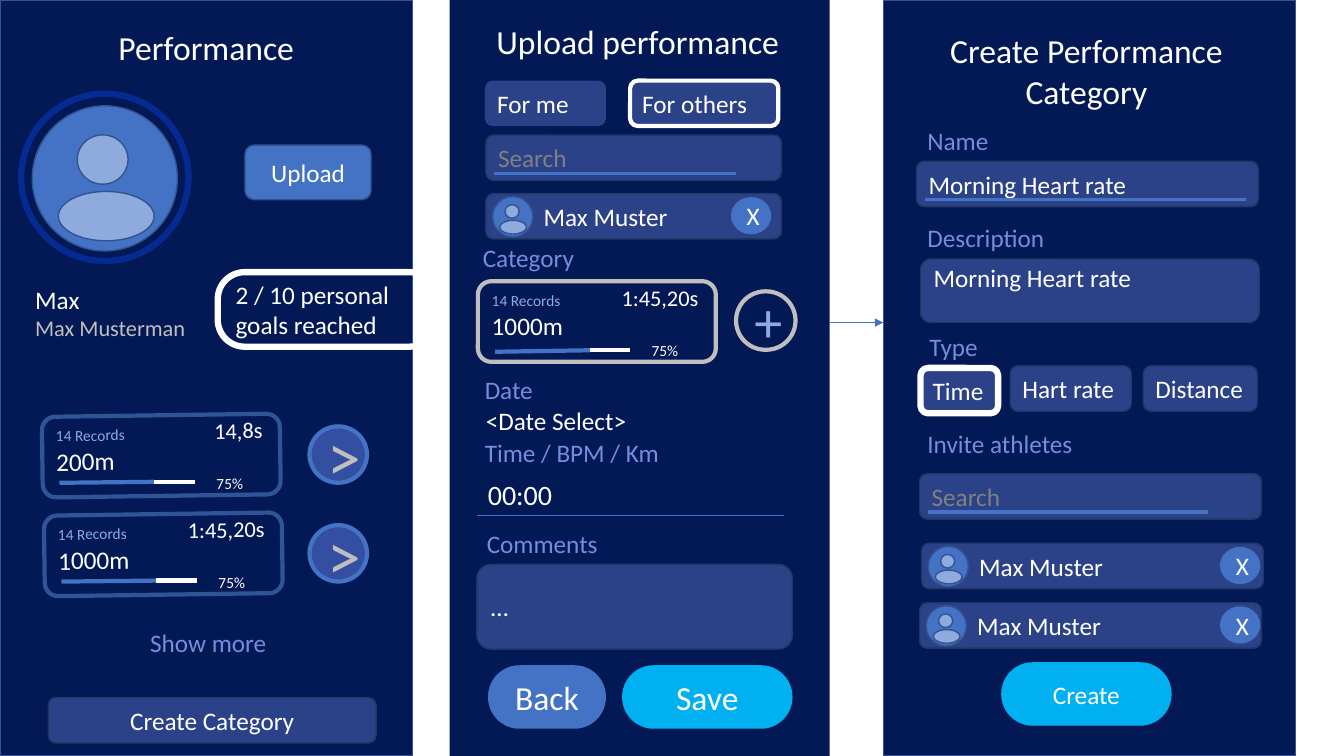
import pptx
import pptx.util
import pptx.dml.color
import pptx.enum.shapes
import pptx.enum.text
import pptx.oxml.ns
import lxml.etree
from dataclasses import dataclass

SHAPE = pptx.enum.shapes.MSO_SHAPE
ALIGN = pptx.enum.text.PP_ALIGN
ANCHOR = pptx.enum.text.MSO_ANCHOR
qn = pptx.oxml.ns.qn


@dataclass(frozen=True)
class Theme:
    font: str = "Calibri"
    night: str = "031956"
    field: str = "2C4288"
    field_edge: str = "203864"
    blue: str = "4472C4"
    blue_edge: str = "325491"
    ring: str = "052A91"
    card_edge: str = "2F5597"
    arrow_fill: str = "344FA1"
    pale: str = "8FAADC"
    label: str = "728EDC"
    cyan: str = "00B0F0"
    white: str = "FFFFFF"
    silver: str = "BFBFBF"
    hint: str = "808080"
    heading: int = 24
    time: int = 20
    body: int = 18
    small: int = 16
    tiny: int = 11
    plus: int = 40
    chevron: int = 48


T = Theme()


def cells(count):
    """Length of a number of grid cells, ten to the inch in both directions."""
    return pptx.util.Inches(count / 10)


def rgb(value):
    return pptx.dml.color.RGBColor.from_string(value)


def style(font, size, color):
    font.name, font.size = T.font, pptx.util.Pt(size)
    font.color.rgb = rgb(color)


# Basic elements
def panel(slide, kind, box, fill=None, edge=None, weight=1, radius=None):
    shape = slide.shapes.add_shape(kind, *map(cells, box))
    shape.shadow.inherit = False
    if radius is not None:
        shape.adjustments[0] = radius
    if fill:
        shape.fill.solid()
        shape.fill.fore_color.rgb = rgb(fill)
    else:
        shape.fill.background()
    if edge:
        shape.line.color.rgb = rgb(edge)
        shape.line.width = pptx.util.Pt(weight)
    else:
        shape.line.fill.background()
    return shape


def write(shape, text, size=T.body, color=T.white, align=ALIGN.LEFT, anchor=ANCHOR.MIDDLE):
    frame = shape.text_frame
    frame.word_wrap, frame.vertical_anchor = True, anchor
    paragraph = frame.paragraphs[0]
    paragraph.text, paragraph.alignment = text, align
    style(paragraph.font, size, color)
    return frame


def label(slide, text, box, size=T.body, color=T.label, align=ALIGN.LEFT):
    holder = slide.shapes.add_textbox(*map(cells, box))
    return write(holder, text, size, color, align, ANCHOR.TOP)


def rule(slide, start, end, color=T.blue, weight=2.25, arrow=False):
    line = slide.shapes.add_connector(
        pptx.enum.shapes.MSO_CONNECTOR.STRAIGHT, *map(cells, (*start, *end)))
    line.line.color.rgb = rgb(color)
    line.line.width = pptx.util.Pt(weight)
    properties = line._element.spPr
    if arrow:
        lxml.etree.SubElement(properties.find(qn("a:ln")), qn("a:tailEnd"), type="triangle")
    lxml.etree.SubElement(properties, qn("a:effectLst"))


# App controls
def field(slide, text, box, color=T.white, underline=0, edge=T.field_edge,
          weight=1, align=ALIGN.LEFT):
    x, y = box[:2]
    shape = panel(slide, SHAPE.ROUNDED_RECTANGLE, box, T.field, edge, weight)
    if underline:
        rule(slide, (x + 0.8, y + 3.8), (x + 0.8 + underline, y + 3.8))
    return write(shape, text, color=color, align=align)


def pill(slide, text, box, fill, size):
    shape = panel(slide, SHAPE.ROUNDED_RECTANGLE, box, fill, radius=0.495)
    write(shape, text, size, align=ALIGN.CENTER)


def disc(slide, text, box, size, color, fill, edge=None):
    write(panel(slide, SHAPE.OVAL, box, fill, edge, 3), text, size, color, ALIGN.CENTER)


def avatar(slide, x, y, size):
    panel(slide, SHAPE.OVAL, (x, y, size, size), T.blue, T.blue_edge)
    for dx, dy, w, h in ((0.31, 0.2, 0.35, 0.34), (0.18, 0.59, 0.66, 0.34)):
        part = (x + dx * size, y + dy * size, w * size, h * size)
        panel(slide, SHAPE.OVAL, part, T.pale, T.blue_edge)


def athlete(slide, x, y, width, remove_x):
    field(slide, "Max Muster", (x, y, width, 4.5)).margin_left = cells(5.5)
    avatar(slide, x + 0.65, y + 0.3, 4)
    disc(slide, "X", (remove_x, y + 0.35, 4, 3.7), T.body, T.white, T.blue)


def record_card(slide, x, y, event, result, edge, tilt=0, bar=(6.7, 6.6)):
    card = panel(slide, SHAPE.ROUNDED_RECTANGLE, (x, y, 23.6, 8), T.night, edge, 3)
    card.rotation = tilt
    frame = card.text_frame
    frame.word_wrap, frame.vertical_anchor = True, ANCHOR.MIDDLE
    lines = (
        ((("14 Records\t", T.tiny, T.pale), (result, T.small, T.white)), 20.5),
        (((event, T.body, T.white),), None),
        ((("\t75%", T.tiny, T.white),), 18.5),
    )
    for number, (runs, tab) in enumerate(lines):
        paragraph = frame.add_paragraph() if number else frame.paragraphs[0]
        paragraph.alignment = ALIGN.LEFT
        if tab:
            tabs = lxml.etree.SubElement(paragraph._p.get_or_add_pPr(), qn("a:tabLst"))
            lxml.etree.SubElement(tabs, qn("a:tab"), pos=str(cells(tab)), algn="r")
        for text, size, color in runs:
            run = paragraph.add_run()
            run.text = text
            if len(runs) > 1:
                style(run.font, size, color)
        if len(runs) == 1:
            style(paragraph.font, size, color)
    # Progress: done, then remaining
    done, rest = bar
    rule(slide, (x + 1.7, y + done), (x + 11.1, y + rest), T.blue, 3)
    rule(slide, (x + 11.1, y + rest), (x + 15.1, y + rest), T.white, 3)


# Screens
def performance_screen(slide):
    panel(slide, SHAPE.RECTANGLE, (0, 0, 40.9, 75), T.night, T.blue_edge)
    title = slide.shapes.title
    title.left, title.top, title.width, title.height = map(cells, (0, 2.2, 40.9, 5))
    write(title, "Performance", T.heading, align=ALIGN.CENTER, anchor=ANCHOR.TOP)
    slide.shapes._spTree.append(title._element)  # above the screen background

    panel(slide, SHAPE.OVAL, (2.1, 9.3, 16.6, 16.6), None, T.ring, 4.5)
    avatar(slide, 3.2, 10.5, 14.4)
    profile = label(slide, "Max", (2.5, 27.7, 19.2, 6.7), color=T.white)
    full_name = profile.add_paragraph()
    full_name.text = "Max Musterman"
    style(full_name.font, T.small, T.silver)
    upload = panel(slide, SHAPE.ROUNDED_RECTANGLE, (24.3, 14.4, 12.5, 5.4), T.blue, T.blue_edge)
    write(upload, "Upload", align=ALIGN.CENTER)
    goals = panel(slide, SHAPE.ROUNDED_RECTANGLE, (21.6, 27, 21.7, 7.4), None, T.white, 4.5, 0.363)
    write(goals, "2 / 10 personal goals reached")

    for x, y, event, result in ((4.2, 41.2, "200m", "14,8s"), (4.4, 51, "1000m", "1:45,20s")):
        record_card(slide, x, y, event, result, T.card_edge, tilt=-0.8)
        disc(slide, ">", (30.7, y + 1.1, 5.7, 5.6), T.chevron, T.silver, T.arrow_fill, T.blue)
    label(slide, "Show more", (0.2, 61.7, 40.9, 4), align=ALIGN.CENTER)
    field(slide, "Create Category", (4.8, 69.2, 32.5, 4.5), align=ALIGN.CENTER)


def upload_screen(slide):
    panel(slide, SHAPE.RECTANGLE, (44.6, 0, 37.7, 75), T.night)
    label(slide, "Upload performance", (46.3, 1.6, 33.9, 5), T.heading, T.white, ALIGN.CENTER)
    field(slide, "For me", (48.1, 8, 12, 4.5), edge=None)
    field(slide, "For others", (62.5, 8, 14.7, 4.5), edge=T.white, weight=3)
    field(slide, "Search", (48.2, 13.4, 29.3, 4.5), T.hint, underline=24)
    athlete(slide, 48.2, 19.2, 29.3, 72.5)
    for text, x, y, color in (
            ("Category", 46.9, 23.6, T.label), ("Date", 47.1, 36.6, T.label),
            ("<Date Select>", 47.2, 39.7, T.white), ("Time / BPM / Km", 47.1, 42.9, T.label),
            ("Comments", 47.3, 51.9, T.label)):
        label(slide, text, (x, y, 24, 4), color=color)
    record_card(slide, 47.4, 27.9, "1000m", "1:45,20s", T.silver, bar=(7, 6.85))
    add = panel(slide, SHAPE.ROUNDED_RECTANGLE, (73, 28.9, 5.9, 5.8), T.night, T.silver, 3, 0.5)
    write(add, "+", T.plus, T.pale, ALIGN.CENTER)
    label(slide, "00:00", (47.4, 46.9, 15.8, 4.4), T.time, T.white)
    rule(slide, (47.3, 51.1), (77.8, 51.1), weight=0.5)
    field(slide, "…", (47.3, 56, 31.3, 8.4))
    pill(slide, "Back", (48.4, 66, 11.7, 6.3), T.blue, T.heading)
    pill(slide, "Save", (61.7, 66, 16.9, 6.3), T.cyan, T.heading)


def category_screen(slide):
    panel(slide, SHAPE.RECTANGLE, (87.6, 0, 40.9, 75), T.night, T.blue_edge)
    label(slide, "Create Performance Category", (90.8, 2.5, 33.9, 9.1),
          T.heading, T.white, ALIGN.CENTER)
    for text, y in (("Name", 11.9), ("Description", 21.6), ("Type", 32.4), ("Invite athletes", 42)):
        label(slide, text, (91.2 if text == "Type" else 91, y, 22.9, 4))
    field(slide, "Morning Heart rate", (90.9, 16, 33.9, 4.5), underline=31.9)
    description = field(slide, "Morning Heart rate", (91.3, 25.7, 33.6, 6.3))
    description.vertical_anchor, description.margin_top = ANCHOR.TOP, 0
    field(slide, "Time", (91.3, 36.5, 7.7, 4.5), edge=T.white, weight=4.5)
    field(slide, "Hart rate", (100.2, 36.3, 12, 4.5))
    field(slide, "Distance", (113.4, 36.3, 11.3, 4.5))
    field(slide, "Search", (91.2, 47, 33.9, 4.5), T.hint, underline=27.8)
    athlete(slide, 91.4, 53.9, 33.9, 121)
    athlete(slide, 91.2, 59.8, 33.9, 121)
    pill(slide, "Create", (99.3, 65.7, 16.9, 6.3), T.cyan, T.body)


def main():
    deck = pptx.Presentation()
    deck.slide_width, deck.slide_height = cells(133.3), cells(75)
    slide = deck.slides.add_slide(deck.slide_layouts[5])
    performance_screen(slide)
    upload_screen(slide)
    category_screen(slide)
    rule(slide, (82.3, 32), (87.6, 32), weight=0.5, arrow=True)
    deck.save("out.pptx")


if __name__ == "__main__":
    main()
